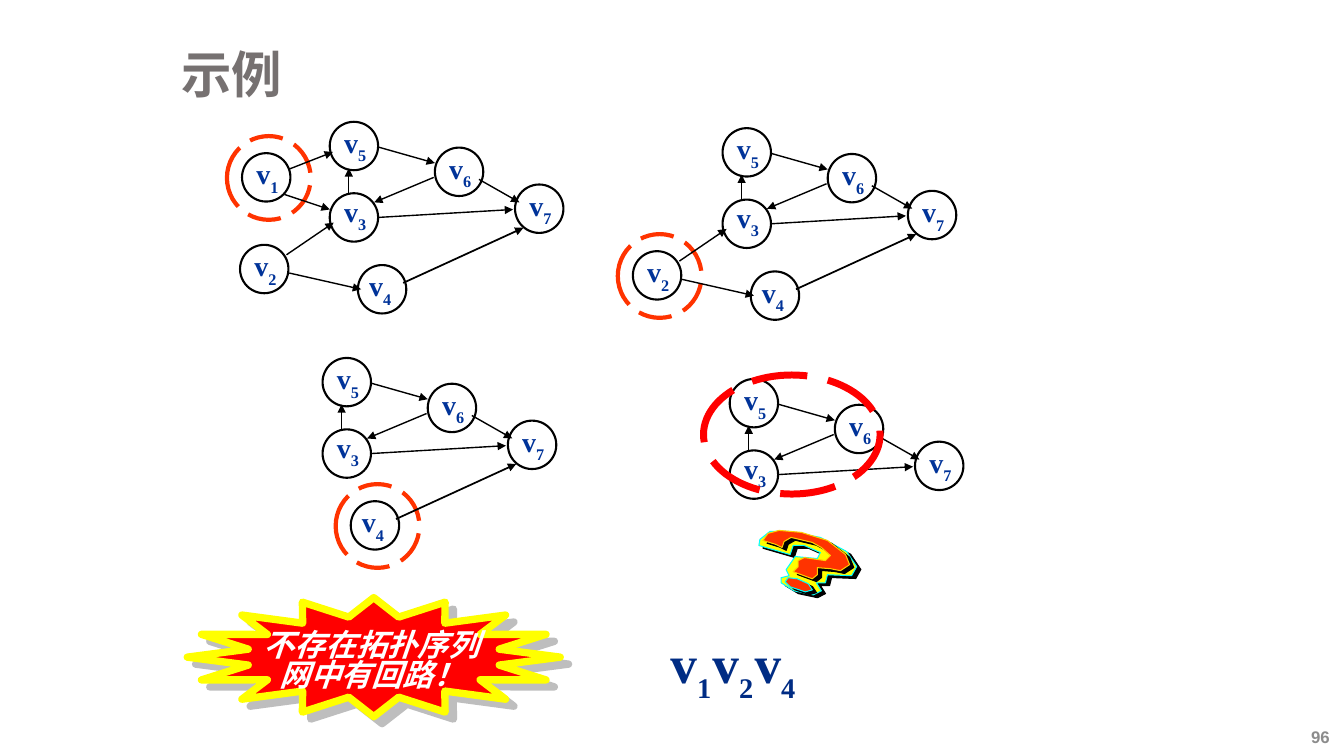
from lxml.etree import SubElement
from pptx import Presentation
from pptx.dml.color import RGBColor
from pptx.enum.dml import MSO_LINE
from pptx.enum.shapes import MSO_CONNECTOR, MSO_SHAPE
from pptx.enum.text import MSO_ANCHOR, MSO_AUTO_SIZE, PP_ALIGN
from pptx.oxml.ns import qn
from pptx.util import Cm, Pt

COLORS = {
    "title": "767171", "number": "8C8C8C", "label": "003399", "order": "002C84",
    "black": "000000", "white": "FFFFFF", "ring": "FF3300", "red": "FF0000",
    "yellow": "FFFF00", "cyan": "00FFFF", "amber": "FFCC00", "gray": "BEBEBE",
}
SERIF = "Times New Roman"
NODE_SIZE = 1.22
NODES = {
    "1": (-2.21, 0.79), "4": (0.71, 3.61), "3": (0, 1.8), "2": (-2.26, 3.1),
    "6": (2.65, 0.65), "5": (0, 0), "7": (4.67, 1.58),
}
LABEL_SHIFTS = {"3": (0.08, -0.1), "4": (0, -0.03)}
EDGES = {
    "23": (-1.09, 3.35, 0.1, 2.54),
    "13": (-1.14, 1.83, 0, 2.21),
    "24": (-1.02, 3.81, 0.79, 4.22),
    "56": (1.24, 0.64, 2.65, 1.04),
    "37": (1.2, 2.41, 4.62, 2.21),
    "67": (3.76, 1.45, 4.78, 2.03),
    "47": (1.85, 4.06, 4.88, 2.67),
    "15": (-1.02, 1.19, 0.08, 0.76),
    "63": (2.62, 1.4, 1.12, 2.03),
    "35": (0.48, 1.8, 0.48, 1.17),
}
GRAPHS = [
    (8.31, 3.07, "1234567", "1"),
    (18.21, 3.23, "234567", "2"),
    (8.13, 9.02, "34567", "4"),
    (18.39, 9.55, "3567", None),
]
MARK_UNIT = Cm(0.0254)
MARK_PARTS = [
    ("yellow", "cyan", [
        (37, 16), (48, 16), (64, 23), (61, 29), (39, 27), (30, 40), (33, 46), (25, 48),
        (25, 53), (38, 61), (57, 65), (65, 61), (60, 53), (69, 53), (71, 45), (95, 46),
        (100, 37), (90, 22), (64, 8), (33, 2), (14, 2), (4, 10), (3, 16), (34, 25)]),
    ("ring", "amber", [
        (7, 11), (20, 15), (26, 18), (28, 12), (35, 8), (56, 13), (65, 18), (74, 26),
        (69, 31), (48, 28), (42, 31), (42, 37), (37, 42), (56, 49), (61, 45), (61, 38),
        (74, 39), (84, 41), (93, 35), (89, 25), (71, 11), (45, 3), (23, 1), (12, 4)]),
    ("ring", "cyan", [
        (41, 49), (32, 48), (29, 52), (34, 57), (49, 62), (56, 60), (52, 54)]),
]


def color(name):
    """Return the named colour."""
    return RGBColor.from_string(COLORS[name])


def format_run(run, size, color_name, font_name=SERIF, italic=None):
    """Give a run its bold font, size and colour."""
    run.font.size = Pt(size)
    run.font.name = font_name
    run.font.bold = True
    run.font.italic = italic
    run.font.color.rgb = color(color_name)


def add_text(slide, box, text, wrap=True, anchor=MSO_ANCHOR.TOP):
    """Add a text box and return its text frame."""
    text_frame = slide.shapes.add_textbox(*map(Cm, box)).text_frame
    text_frame.word_wrap = wrap
    text_frame.vertical_anchor = anchor
    text_frame.text = text
    return text_frame


def add_vertex_name(slide, box, digit, size, subscript_size, color_name):
    """Write v with a subscript digit, centred in the box."""
    text_frame = add_text(slide, box, "v", wrap=False)
    text_frame.auto_size = MSO_AUTO_SIZE.SHAPE_TO_FIT_TEXT
    paragraph = text_frame.paragraphs[0]
    paragraph.alignment = PP_ALIGN.CENTER
    subscript = paragraph.add_run()
    subscript.text = digit
    format_run(paragraph.runs[0], size, color_name)
    format_run(subscript, subscript_size, color_name)
    subscript._r.get_or_add_rPr().set("baseline", "-30000")


def style_shape(shape, line_color, width, fill_color=None):
    """Set the outline and the fill of a shape and drop its shadow."""
    shape.shadow.inherit = False
    if fill_color:
        shape.fill.solid()
        shape.fill.fore_color.rgb = color(fill_color)
    else:
        shape.fill.background()
    shape.line.color.rgb = color(line_color)
    shape.line.width = Pt(width)


def add_ellipse(slide, box, line_color, width, dashed=False):
    """Add an unfilled ellipse."""
    shape = slide.shapes.add_shape(MSO_SHAPE.OVAL, *map(Cm, box))
    style_shape(shape, line_color, width)
    if dashed:
        shape.line.dash_style = MSO_LINE.LONG_DASH


def add_hard_shadow(shape, color_name, distance, degrees):
    """Give a shape an unblurred offset shadow."""
    effects = shape._element.spPr.find(qn("a:effectLst"))
    shadow = SubElement(effects, qn("a:outerShdw"), blurRad="0", dist=str(Pt(distance)),
                        dir=str(degrees * 60000), algn="ctr", rotWithShape="0")
    SubElement(shadow, qn("a:srgbClr"), val=COLORS[color_name])


def add_arrow(slide, start, end, width):
    """Add a black arrow between two points."""
    arrow = slide.shapes.add_connector(
        MSO_CONNECTOR.STRAIGHT, *map(Cm, (*start, *end)))
    arrow.line.color.rgb = color("black")
    arrow.line.width = Pt(width)
    SubElement(arrow.line._get_or_add_ln(), qn("a:tailEnd"), type="triangle")
    SubElement(arrow._element.spPr, qn("a:effectLst"))


def add_graph(slide, left, top, vertices, ringed):
    """Draw the given vertices, the edges among them and the ring around the next one."""
    for digit, (x, y) in NODES.items():
        if digit not in vertices:
            continue
        x, y = left + x, top + y
        shift_x, shift_y = LABEL_SHIFTS.get(digit, (0.08, -0.03))
        add_ellipse(slide, (x, y, NODE_SIZE, NODE_SIZE), "black", 1.5)
        add_vertex_name(slide, (x + shift_x, y + shift_y, 1.12, 1.12), digit, 20, 20, "label")
        if digit == ringed:
            add_ellipse(slide, (x - 0.38, y - 0.43, 2.11, 2.11), "ring", 3, dashed=True)
    for ends, (x1, y1, x2, y2) in EDGES.items():
        if set(ends) <= set(vertices):
            add_arrow(slide, (left + x1, top + y1), (left + x2, top + y2),
                      1.25 if ends == "47" else 1)


def add_question_mark(slide, left, top):
    """Draw the tilted question mark."""
    for fill_color, line_color, points in MARK_PARTS:
        builder = slide.shapes.build_freeform(*points[0], scale=MARK_UNIT)
        builder.add_line_segments(points[1:], close=True)
        shape = builder.convert_to_shape(Cm(left), Cm(top))
        style_shape(shape, line_color, 0.75, fill_color)
        add_hard_shadow(shape, "black", 3.6, 34)


def add_conclusion(slide, left, top, width, height):
    """Draw the star burst with the conclusion in it."""
    star = slide.shapes.add_shape(
        MSO_SHAPE.STAR_16_POINT, *map(Cm, (left, top, width, height)))
    star.adjustments[0] = 0.343
    style_shape(star, "yellow", 5.25, "red")
    add_hard_shadow(star, "gray", 7.8, 40)
    text_frame = add_text(slide, (left + 1.68, top + 0.76, 7.47, 1.75),
                          "不存在拓扑序列\n网中有回路！", anchor=MSO_ANCHOR.MIDDLE)
    for paragraph in text_frame.paragraphs:
        paragraph.line_spacing = 0.8
        format_run(paragraph.runs[0], 22, "white", italic=True)
    text_frame.paragraphs[1]._p.get_or_add_pPr().set("marL", str(Cm(0.39)))


def add_order(slide, left, top, digits):
    """Write the vertices output so far."""
    for index, digit in enumerate(digits):
        add_vertex_name(slide, (left + 1.06 * index, top, 1.6, 1.88), digit, 38, 35, "order")


def add_frame(slide):
    """Write the title and the slide number."""
    title = add_text(slide, (4.32, 0.86, 28.58, 2.16), "示例", anchor=MSO_ANCHOR.MIDDLE)
    title.paragraphs[0].line_spacing = 0.9
    format_run(title.paragraphs[0].runs[0], 36, "title", "Arial")
    number = add_text(slide, (32.56, 18.08, 1.2, 0.97), "96", anchor=MSO_ANCHOR.MIDDLE)
    number.paragraphs[0].alignment = PP_ALIGN.RIGHT
    format_run(number.paragraphs[0].runs[0], 12, "number", "Arial")


def main():
    """Build and save the slide."""
    presentation = Presentation()
    presentation.slide_width = Cm(33.87)
    presentation.slide_height = Cm(19.05)
    slide = presentation.slides.add_slide(presentation.slide_layouts[6])
    add_frame(slide)
    for graph in GRAPHS:
        add_graph(slide, *graph)
    add_ellipse(slide, (17.73, 9.45, 4.45, 3), "red", 5, dashed=True)
    add_question_mark(slide, 19.05, 13.34)
    add_conclusion(slide, 4.72, 15.06, 9.4, 3)
    add_order(slide, 16.61, 15.77, "124")
    presentation.save("out.pptx")


if __name__ == "__main__":
    main()
